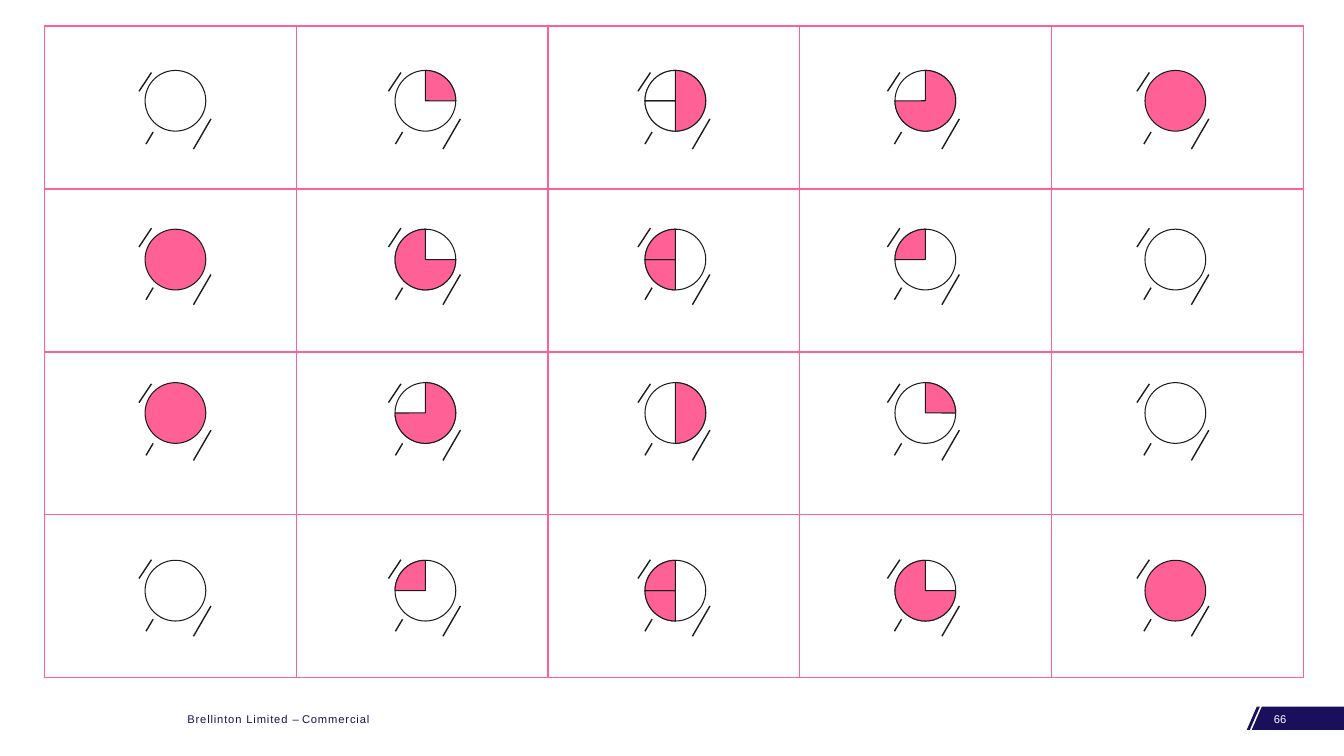
from lxml import etree
from pptx import Presentation
from pptx.dml.color import RGBColor
from pptx.enum.shapes import MSO_CONNECTOR, MSO_SHAPE
from pptx.enum.text import MSO_ANCHOR
from pptx.oxml import parse_xml
from pptx.oxml.ns import nsdecls, qn
from pptx.util import Pt

PINK = RGBColor(0xFF, 0x61, 0x96)
INK = RGBColor(0x1D, 0x1C, 0x1C)
NAVY = RGBColor(0x1A, 0x0F, 0x5C)
TITLE = RGBColor(0x19, 0x10, 0x5B)
WHITE = RGBColor(0xFF, 0xFF, 0xFF)
LINE = MSO_CONNECTOR.STRAIGHT
OVAL, PIE = MSO_SHAPE.OVAL, MSO_SHAPE.PIE
MIDDLE = MSO_ANCHOR.MIDDLE

deck = Presentation()
deck.slide_width, deck.slide_height = Pt(960), Pt(540)
slide = deck.slides.add_slide(deck.slide_layouts[6])
shapes = slide.shapes


def add_disc(kind, left, top, fill):
    disc = shapes.add_shape(kind, Pt(left), Pt(top), Pt(43.4), Pt(43.4))
    disc.shadow.inherit = False
    disc.fill.solid()
    disc.fill.fore_color.rgb = fill
    disc.line.color.rgb = INK
    disc.line.width = Pt(0.75)
    return disc


def add_label(left, width, runs, color):
    box = shapes.add_textbox(Pt(left), Pt(504.7), Pt(width), Pt(17.3))
    frame = box.text_frame
    for name, value in {"word_wrap": True, "vertical_anchor": MIDDLE}.items():
        setattr(frame, name, value)
    for text, gap in runs:
        run = frame.paragraphs[0].add_run()
        run.text = text
        for name, value in {"name": "Arial", "size": Pt(8)}.items():
            setattr(run.font, name, value)
        run.font.color.rgb = color
        run.font._element.set("spc", str(gap))


# Footer: slanted stripe and bar
stripe = [(900, 504.7), (897.8, 504.7), (890.6, 521.3), (892.8, 521.3)]
bar = [(960, 504.7), (901.4, 504.7), (894.2, 521.3), (960, 521.3)]
pen = shapes.build_freeform(Pt(stripe[0][0]), Pt(stripe[0][1]))
pen.add_line_segments([(Pt(x), Pt(y)) for x, y in stripe[1:]])
pen.move_to(Pt(bar[0][0]), Pt(bar[0][1]))
pen.add_line_segments([(Pt(x), Pt(y)) for x, y in bar[1:]])
flag = pen.convert_to_shape()
flag.shadow.inherit = False
flag.fill.solid()
flag.fill.fore_color.rgb = NAVY
flag.line.fill.background()

# Footer: owner and page number
owner = [("Brellinton Limited ", 60), ("– ", 0), ("Commercial", 60)]
add_label(126.7, 157.7, owner, TITLE)
add_label(902.9, 44.6, [("66", 0)], WHITE)

# Table grid
COLS, ROWS = 5, 4
grid = shapes.add_table(ROWS, COLS, Pt(31.7), Pt(18.6), Pt(899.5), Pt(465.6)).table
for name in ("first_row", "horz_banding"):
    setattr(grid, name, False)
for col in grid.columns:
    col.width = Pt(179.9)
for row in grid.rows:
    row.height = Pt(116.4)
for cell in grid.iter_cells():
    cell.fill.background()
    props = cell._tc.get_or_add_tcPr()
    for spot, side in enumerate(("lnL", "lnR", "lnT", "lnB")):
        props.insert(spot, parse_xml(
            f'<a:{side} {nsdecls("a")} w="12700"><a:solidFill>'
            f'<a:srgbClr val="{PINK}"/></a:solidFill></a:{side}>'))

# Harvey balls: base colour, then slices as (start, end, colour) in degrees
EMPTY, FULL = (WHITE, []), (PINK, [])
RIGHT = (270, 90, PINK)
LEFT = (WHITE, [(90, 180, PINK), (180, 270, PINK)])
SPLIT = (WHITE, [RIGHT, (90, 180, WHITE), (180, 270, WHITE)])
HALF = (WHITE, [RIGHT])
FIRST, LAST = (WHITE, [(270, 0, PINK)]), (WHITE, [(180, 270, PINK)])
NO_FIRST, NO_LAST = (WHITE, [(0, 270, PINK)]), (WHITE, [(270, 180, PINK)])
balls = [
    (50.3, [EMPTY, FIRST, SPLIT, NO_LAST, FULL]),
    (163.7, [FULL, NO_FIRST, LEFT, LAST, EMPTY]),
    (273.3, [FULL, NO_LAST, HALF, FIRST, EMPTY]),
    (400.2, [EMPTY, LAST, LEFT, NO_FIRST, FULL]),
]
for top, line in balls:
    for col, (base, parts) in enumerate(line):
        left = 103.6 + 178.56 * col
        add_disc(OVAL, left, top, base)
        for start, end, fill in parts:
            wedge = add_disc(PIE, left, top, fill)
            wedge.adjustments[0] = start * 0.6
            wedge.adjustments[1] = end * 0.6

# Slanted ticks around each ball
ticks = [(8.9, 0, 0, 13.4), (51.4, 33.1, 38.9, 54.7), (10.1, 42.5, 5, 51.1)]
for top in (51.8, 163, 274.2, 399.8):
    for col in range(COLS):
        left = 99.3 + 178.2 * col
        for x1, y1, x2, y2 in ticks:
            tick = shapes.add_connector(
                LINE, Pt(left + x1), Pt(top + y1), Pt(left + x2), Pt(top + y2))
            tick.line.color.rgb = INK
            tick.line.width = Pt(1)
            etree.SubElement(tick._element.spPr, qn("a:effectLst"))

deck.save("out.pptx")
